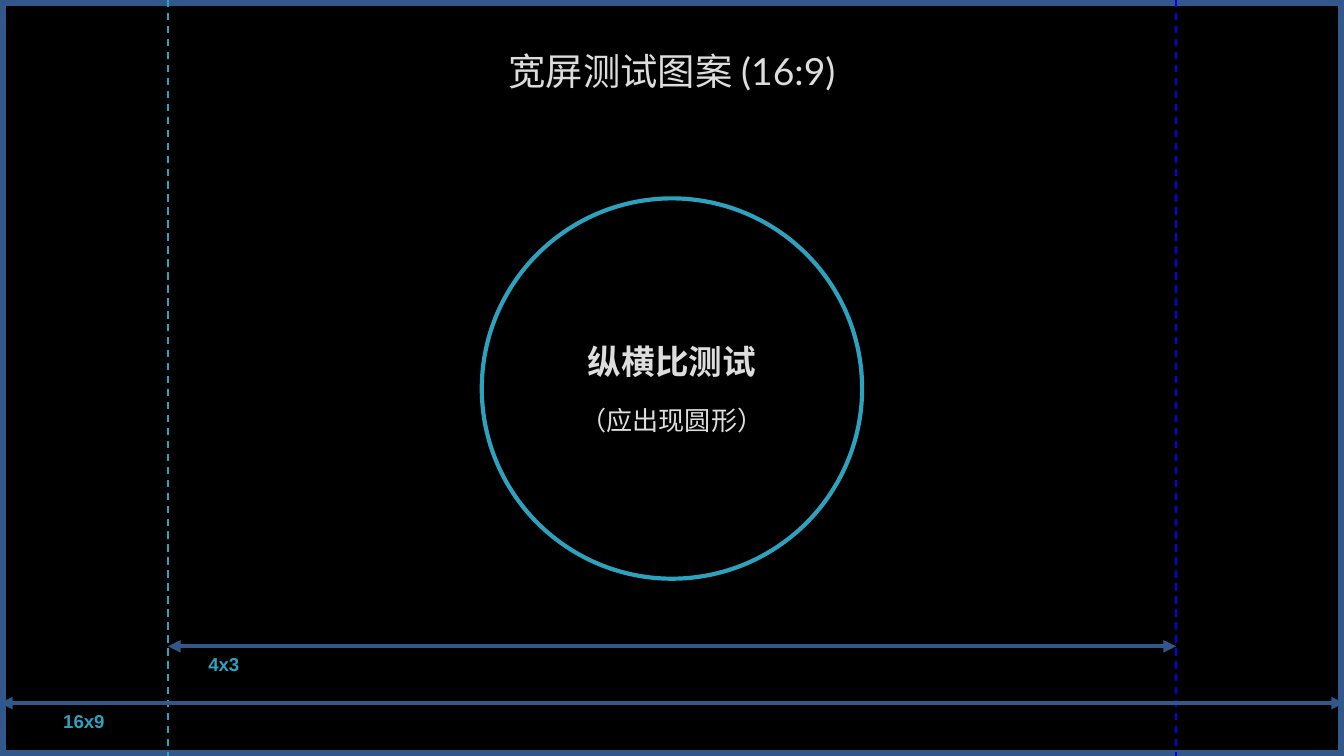
from dataclasses import dataclass

from lxml.etree import SubElement
from pptx import Presentation
from pptx.dml.color import RGBColor
from pptx.enum.dml import MSO_LINE_DASH_STYLE as Dash
from pptx.enum.shapes import MSO_CONNECTOR as Connector, MSO_SHAPE as Shape
from pptx.enum.text import MSO_ANCHOR as Anchor, MSO_AUTO_SIZE as AutoSize, PP_ALIGN as Align
from pptx.oxml.ns import qn
from pptx.util import Inches, Pt


@dataclass(frozen=True)
class Theme:
    """Colours, fonts and sizes shared by the whole test pattern."""
    ground: str = "000000"
    frame: str = "32578B"
    accent: str = "2DA2BF"
    right_guide: str = "0000FF"
    text: str = "DDDDDD"
    text_font: str = "Lato"
    label_font: str = "Arial"
    title_size: float = 20
    heading_size: float = 18
    note_size: float = 14
    label_size: float = 10
    frame_width: float = 6
    stroke_width: float = 2.25
    guide_width: float = 1


@dataclass(frozen=True)
class Box:
    """A rectangle that hands out inner boxes by share."""
    left: int
    top: int
    width: int
    height: int

    def x(self, share):
        """Return the horizontal position at a share of the width."""
        return round(self.left + share * self.width)

    def y(self, share):
        """Return the vertical position at a share of the height."""
        return round(self.top + share * self.height)

    def inner(self, left, top, width, height):
        """Return the inner box given by four shares."""
        return Box(self.x(left), self.y(top), round(width * self.width), round(height * self.height))

    def bounds(self):
        """Return the four lengths in drawing order."""
        return self.left, self.top, self.width, self.height


THEME = Theme()


def style_line(line, color, width):
    """Give an outline its colour and its width in points."""
    line.color.rgb = RGBColor.from_string(color)
    line.width = Pt(width)


def write(para, text, size, color=THEME.text, font=THEME.text_font, bold=False, align=Align.CENTER):
    """Fill a paragraph with one formatted span."""
    para.text = text
    para.alignment = align
    span = para.runs[0]
    span.font.name = font
    span.font.size = Pt(size)
    span.font.bold = bold
    span.font.color.rgb = RGBColor.from_string(color)


def add_outline(page, kind, box, color, width):
    """Draw an unfilled preset shape in the box."""
    shape = page.shapes.add_shape(kind, *box.bounds())
    shape.shadow.inherit = False
    shape.fill.background()
    style_line(shape.line, color, width)
    return shape


def add_line(page, start, end, color, width):
    """Draw a straight connector without a shadow."""
    line = page.shapes.add_connector(Connector.STRAIGHT, *start, *end)
    style_line(line.line, color, width)
    SubElement(line._element.spPr, qn("a:effectLst"))
    return line


def add_title(page, box, text):
    """Place the page title at the top of the box."""
    title = page.shapes.title
    title.left, title.top, title.width, title.height = box.bounds()
    title.text_frame.vertical_anchor = Anchor.TOP
    write(title.text_frame.paragraphs[0], text, THEME.title_size)


def add_guide(page, box, share, color):
    """Draw a dashed vertical guide at a share of the box width."""
    x = box.x(share)
    guide = add_line(page, (x, box.top), (x, box.y(1)), color, THEME.guide_width)
    guide.line.dash_style = Dash.DASH


def add_span(page, box, text, label_offset):
    """Draw a double arrow along the top of the box, with its label below."""
    arrow = add_line(page, (box.left, box.top), (box.x(1), box.top), THEME.frame, THEME.stroke_width)
    outline = arrow._element.spPr.find(qn("a:ln"))
    for end in ("a:headEnd", "a:tailEnd"):
        SubElement(outline, qn(end), type="triangle")
    label = page.shapes.add_textbox(box.left + label_offset, box.top, Inches(0.58), box.height)
    frame = label.text_frame
    frame.word_wrap = True
    frame.auto_size = AutoSize.SHAPE_TO_FIT_TEXT
    frame.margin_left = frame.margin_right = frame.margin_top = frame.margin_bottom = Inches(0.05)
    write(frame.paragraphs[0], text, THEME.label_size, THEME.accent, THEME.label_font, True, Align.LEFT)


def add_circle(page, box, heading, note):
    """Draw the aspect ratio circle with its two lines of text."""
    circle = add_outline(page, Shape.OVAL, box, THEME.accent, THEME.stroke_width)
    frame = circle.text_frame
    frame.word_wrap = True
    frame.vertical_anchor = Anchor.MIDDLE
    write(frame.paragraphs[0], heading, THEME.heading_size, bold=True)
    second = frame.add_paragraph()
    write(second, note, THEME.note_size)
    second.space_before = Pt(12.6)


def build_test_pattern(page, box):
    """Lay out the widescreen test pattern in the box."""
    page.background.fill.solid()
    page.background.fill.fore_color.rgb = RGBColor.from_string(THEME.ground)
    standard_share = (4 / 3) / (16 / 9)
    margin = (1 - standard_share) / 2
    add_outline(page, Shape.RECTANGLE, box, THEME.frame, THEME.frame_width)
    add_title(page, box.inner(0.075, 0.055, 0.85, 0.16), "宽屏测试图案 (16:9)")
    add_guide(page, box, margin, THEME.accent)
    add_guide(page, box, 1 - margin, THEME.right_guide)
    add_span(page, box.inner(0, 0.93, 1, 0.05), "16x9", Inches(0.42))
    diameter = Inches(2.83)
    circle_box = Box(box.x(0.5) - diameter // 2, box.y(0.26) + Pt(1), diameter, diameter)
    add_circle(page, circle_box, "纵横比测试", "（应出现圆形）")
    add_span(page, box.inner(margin, 0.855, standard_share, 0.05), "4x3", Inches(0.25))


def main():
    """Build the deck and save it."""
    deck = Presentation()
    deck.slide_width = Inches(10)
    deck.slide_height = deck.slide_width * 9 // 16
    page = deck.slides.add_slide(deck.slide_layouts[5])
    build_test_pattern(page, Box(0, 0, deck.slide_width, deck.slide_height))
    deck.save("out.pptx")


if __name__ == "__main__":
    main()
